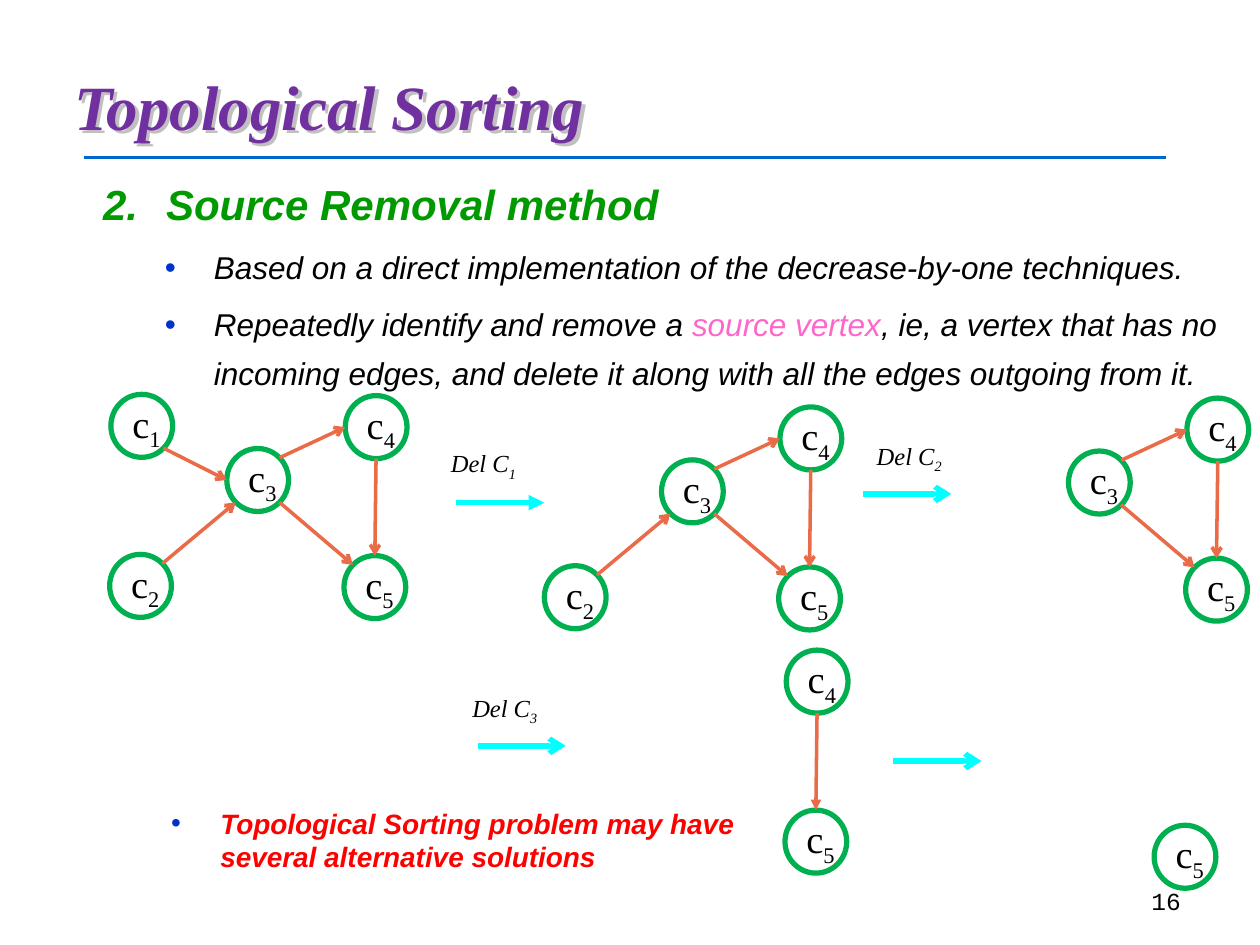
from math import hypot

from lxml import etree
from pptx import Presentation
from pptx.dml.color import RGBColor
from pptx.enum.shapes import MSO_CONNECTOR, MSO_SHAPE
from pptx.enum.text import MSO_ANCHOR, MSO_AUTO_SIZE, PP_ALIGN
from pptx.oxml.ns import qn
from pptx.util import Inches, Pt

STRAIGHT = MSO_CONNECTOR.STRAIGHT
OVAL = MSO_SHAPE.OVAL
MIDDLE = MSO_ANCHOR.MIDDLE
GROW = MSO_AUTO_SIZE.SHAPE_TO_FIT_TEXT
LEFT, RIGHT = PP_ALIGN.LEFT, PP_ALIGN.RIGHT

SERIF, SANS, MONO = "Times New Roman", "Arial", "Courier New"
THEME = {
    "title": ({"name": SERIF, "size": Pt(36), "bold": True, "italic": True}, "7030A0"),
    "heading": ({"name": SANS, "size": Pt(24), "bold": True, "italic": True}, "009900"),
    "point": ({"name": SANS, "size": Pt(18), "bold": False, "italic": True}, "000000"),
    "term": ({"name": SANS, "size": Pt(18), "bold": False, "italic": True}, "FF66CC"),
    "remark": ({"name": SANS, "size": Pt(16), "bold": True, "italic": True}, "FF0000"),
    "vertex": ({"name": SERIF, "size": Pt(22)}, "000000"),
    "step": ({"name": SERIF, "size": Pt(14), "italic": True}, "000000"),
    "number": ({"name": MONO, "size": Pt(14)}, "000000"),
    "rule": ("0066CC", 1.75),
    "ring": ("00B050", 3),
    "edge": ("EA6B48", 2),
    "deletion": ("00FFFF", 3),
    "vertex fill": "FFFFFF",
    "bullet": "0033CC",
    "title shadow": "C0C0C0",
}

TITLE = [("Topological Sorting", "title")]
HEADING = [("Source Removal method", "heading")]
POINTS = [
    [("Based on a direct implementation of the decrease-by-one techniques.", "point")],
    [("Repeatedly identify and remove a ", "point"), ("source vertex", "term"),
     (", ie, a vertex that has no incoming edges, and delete it along with "
      "all the edges outgoing from it.", "point")],
]
REMARK = [("Topological Sorting problem may have several alternative solutions", "remark")]
PAGE = [("16", "number")]

VERTEX_SIZE = (0.49, 0.5)
VERTEX_OFFSETS = {1: (-0.92, -0.43), 2: (-0.93, 0.84), 3: (0, 0),
                  4: (0.94, -0.42), 5: (0.93, 0.85)}
EDGES = [(1, 3, (1, 1), (-1, 0)), (2, 3, (1, -1), (-1, 1)), (3, 4, (1, -1), (-1, 0)),
         (3, 5, (1, 1), (-1, -1)), (4, 5, (0, 1), (0, -1))]
STAGES = [
    ((1.8, 3.56), (1, 2, 3, 4, 5), "arrow"),
    ((5.25, 3.65), (2, 3, 4, 5), "arrow"),
    ((8.48, 3.58), (3, 4, 5), "arrow"),
    ((5.3, 5.58), (4, 5), "triangle"),
    ((8.23, 5.7), (5,), "arrow"),
]
DELETION_ARROWS = [((3.62, 3.99), "triangle"), ((6.85, 3.92), "arrow"),
                   ((3.79, 5.92), "arrow"), ((7.09, 6.04), "arrow")]
DELETION_LENGTH = 0.7
DELETION_LABELS = [((3.48, 3.51), "1"), ((6.86, 3.45), "2"), ((3.65, 5.45), "3")]
LABEL_SIZE = (0.9, 0.37)


def write(paragraph, runs):
    for words, role, *subscript in runs:
        run = paragraph.add_run()
        run.text = words
        values, color = THEME[role]
        for key, value in values.items():
            setattr(run.font, key, value)
        run.font.color.rgb = RGBColor.from_string(color)
        if subscript:
            run.font._element.set("baseline", "-25000")


def add_text(slide, box, runs):
    holder = slide.shapes.add_textbox(*map(Inches, box))
    holder.text_frame.word_wrap = True
    write(holder.text_frame.paragraphs[0], runs)
    return holder


def add_marker(paragraph, color, marker, indent, hanging, **values):
    properties = paragraph._p.get_or_add_pPr()
    properties.set("marL", str(Inches(indent)))
    properties.set("indent", str(-Inches(hanging)))
    tint = etree.SubElement(properties, qn("a:buClr"))
    etree.SubElement(tint, qn("a:srgbClr"), val=color)
    etree.SubElement(properties, qn("a:buFont"), typeface=SANS)
    etree.SubElement(properties, qn(marker), **values)


def add_bullet(paragraph):
    paragraph.level = 1
    add_marker(paragraph, THEME["bullet"], "a:buChar", 0.98, 0.39, char="•")


def add_line(slide, start, end, role, head=None):
    color, width = THEME[role]
    line = slide.shapes.add_connector(STRAIGHT, *map(Inches, (*start, *end)))
    line.line.color.rgb = RGBColor.from_string(color)
    line.line.width = Pt(width)
    if head:
        etree.SubElement(line.line._get_or_add_ln(), qn("a:tailEnd"), type=head)
    etree.SubElement(line._element.spPr, qn("a:effectLst"))


def add_vertex(slide, corner, index):
    vertex = slide.shapes.add_shape(OVAL, *map(Inches, (*corner, *VERTEX_SIZE)))
    vertex.shadow.inherit = False
    vertex.fill.solid()
    vertex.fill.fore_color.rgb = RGBColor.from_string(THEME["vertex fill"])
    color, width = THEME["ring"]
    vertex.line.color.rgb = RGBColor.from_string(color)
    vertex.line.width = Pt(width)
    frame = vertex.text_frame
    frame.word_wrap = False
    frame.vertical_anchor = MIDDLE
    frame.paragraphs[0].alignment = LEFT
    write(frame.paragraphs[0], [("c", "vertex"), (str(index), "vertex", True)])


def rim_point(corner, direction):
    reach = hypot(*direction)
    return [start + size / 2 * (1 + step / reach)
            for start, size, step in zip(corner, VERTEX_SIZE, direction)]


def add_stage(slide, origin, vertices, head):
    corners = {index: [o + d for o, d in zip(origin, VERTEX_OFFSETS[index])]
               for index in vertices}
    for index, corner in corners.items():
        add_vertex(slide, corner, index)
    for source, target, leaving, entering in EDGES:
        if source in corners and target in corners:
            add_line(slide, rim_point(corners[source], leaving),
                     rim_point(corners[target], entering), "edge", head)


def add_title(slide):
    title = add_text(slide, (0.49, 0.5, 9.1, 0.67), TITLE)
    title.text_frame.vertical_anchor = MIDDLE
    effects = etree.SubElement(title._element.spPr, qn("a:effectLst"))
    shadow = etree.SubElement(effects, qn("a:outerShdw"), dist="35921", dir="2700000")
    etree.SubElement(shadow, qn("a:srgbClr"), val=THEME["title shadow"])


def add_body(slide):
    frame = add_text(slide, (0.62, 1.37, 9.27, 1.8), HEADING).text_frame
    add_marker(frame.paragraphs[0], THEME["heading"][1], "a:buAutoNum", 0.6, 0.5,
               type="arabicPeriod", startAt="2")
    for point in POINTS:
        paragraph = frame.add_paragraph()
        paragraph.line_spacing = 1.3
        paragraph.space_before = Pt(4.5)
        add_bullet(paragraph)
        write(paragraph, point)


def main():
    """Build the slide on topological sorting by source removal."""
    deck = Presentation()
    deck.slide_width, deck.slide_height = Inches(10), Inches(7.5)
    slide = deck.slides.add_slide(deck.slide_layouts[6])
    add_line(slide, (0.67, 1.25), (9.25, 1.25), "rule")
    page = add_text(slide, (7.14, 6.98, 2.33, 0.52), PAGE)
    page.text_frame.paragraphs[0].alignment = RIGHT
    add_title(slide)
    add_body(slide)
    for stage in STAGES:
        add_stage(slide, *stage)
    for (left, top), head in DELETION_ARROWS:
        add_line(slide, (left, top), (left + DELETION_LENGTH, top), "deletion", head)
    for corner, removed in DELETION_LABELS:
        add_text(slide, (*corner, *LABEL_SIZE),
                 [("Del C", "step"), (removed, "step", True)])
    remark = add_text(slide, (0.67, 6.35, 5.36, 0.64), REMARK)
    remark.text_frame.auto_size = GROW
    add_bullet(remark.text_frame.paragraphs[0])
    deck.save("out.pptx")


if __name__ == "__main__":
    main()
